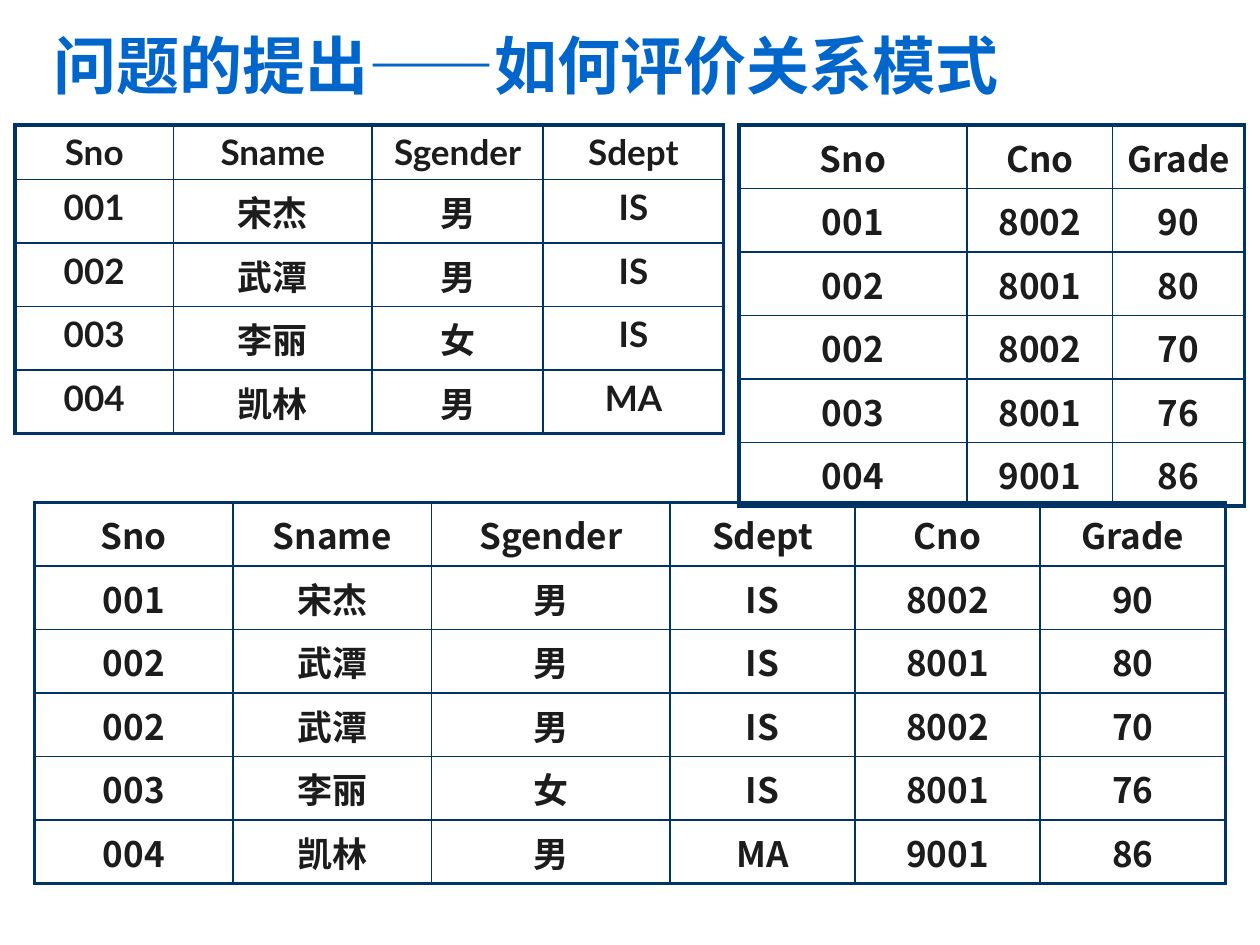
from dataclasses import dataclass

from lxml.etree import SubElement
from pptx import Presentation
from pptx.dml.color import RGBColor
from pptx.enum.text import MSO_ANCHOR, PP_ALIGN
from pptx.oxml.ns import qn
from pptx.util import Cm, Pt


@dataclass(frozen=True)
class Theme:
    title_color: str = "0066CC"
    text_color: str = "1C1C1C"
    border_color: str = "003366"
    title_size: float = 36
    cell_size: float = 20
    outer_border: float = 2.25
    inner_border: float = 1
    font: str = "Noto Sans CJK SC"
    student_font: str = "Lato"


THEME = Theme()
ROW_HEIGHT = 1.28

STUDENTS = [
    ("Sno", "Sname", "Sgender", "Sdept"),
    ("001", "宋杰", "男", "IS"),
    ("002", "武潭", "男", "IS"),
    ("003", "李丽", "女", "IS"),
    ("004", "凯林", "男", "MA"),
]
GRADES = [
    ("Sno", "Cno", "Grade"),
    ("001", "8002", "90"),
    ("002", "8001", "80"),
    ("002", "8002", "70"),
    ("003", "8001", "76"),
    ("004", "9001", "86"),
]


def join_relations(students, grades):
    """Natural join of both relations on the student number."""
    student_by_number = {student[0]: student for student in students}
    return [student_by_number[number] + tuple(rest) for number, *rest in grades]


def write_text(text_frame, text, *, size, color, font=THEME.font, align=PP_ALIGN.LEFT):
    paragraph = text_frame.paragraphs[0]
    paragraph.alignment = align
    run = paragraph.add_run()
    run.text = text
    run.font.size = Pt(size)
    run.font.bold = True
    run.font.color.rgb = RGBColor.from_string(color)
    run.font.name = font
    # East Asian glyphs always use the main font
    SubElement(run.font._element, qn("a:ea"), typeface=THEME.font)


def set_borders(cell, outer_sides):
    """Thick lines on the table's outline, thin lines inside."""
    properties = cell._tc.get_or_add_tcPr()
    for side in "LRTB":
        width = THEME.outer_border if side in outer_sides else THEME.inner_border
        line = SubElement(properties, qn(f"a:ln{side}"), w=str(Pt(width)))
        fill = SubElement(line, qn("a:solidFill"))
        SubElement(fill, qn("a:srgbClr"), val=THEME.border_color)


def add_title(slide, text):
    shape = slide.shapes.add_textbox(Cm(0.83), Cm(0.53), Cm(23.47), Cm(1.65))
    text_frame = shape.text_frame
    text_frame.word_wrap = True
    text_frame.vertical_anchor = MSO_ANCHOR.BOTTOM
    text_frame.margin_top = text_frame.margin_bottom = Cm(0.13)
    write_text(text_frame, text, size=THEME.title_size, color=THEME.title_color)


def add_relation(slide, rows, left, top, column_widths,
                 header_height=ROW_HEIGHT, font=THEME.font):
    row_heights = [header_height] + [ROW_HEIGHT] * (len(rows) - 1)
    shape = slide.shapes.add_table(
        len(rows), len(column_widths), Cm(left), Cm(top),
        Cm(sum(column_widths)), Cm(sum(row_heights)),
    )
    table = shape.table
    table.first_row = table.horz_banding = False
    for column, width in zip(table.columns, column_widths):
        column.width = Cm(width)
    for row, height in zip(table.rows, row_heights):
        row.height = Cm(height)

    last_row, last_column = len(rows) - 1, len(column_widths) - 1
    for i, values in enumerate(rows):
        for j, value in enumerate(values):
            cell = table.cell(i, j)
            edges = {"L": j == 0, "R": j == last_column, "T": i == 0, "B": i == last_row}
            set_borders(cell, [side for side, is_outer in edges.items() if is_outer])
            cell.fill.background()
            write_text(cell.text_frame, value, size=THEME.cell_size,
                       color=THEME.text_color, font=font, align=PP_ALIGN.CENTER)


def main():
    presentation = Presentation()
    presentation.slide_width, presentation.slide_height = Cm(25.4), Cm(19.05)
    slide = presentation.slides.add_slide(presentation.slide_layouts[6])

    add_title(slide, "问题的提出——如何评价关系模式")

    # Source relations: students and their grades
    add_relation(slide, STUDENTS, 0.3, 2.52, [3.2, 4, 3.45, 3.64],
                 header_height=1.1, font=THEME.student_font)
    add_relation(slide, GRADES, 14.9, 2.52, [4.59, 2.94, 2.66])

    # Single relation holding all attributes
    add_relation(slide, join_relations(STUDENTS, GRADES), 0.69, 10.13,
                 [4.01, 4, 4.81] + [3.73] * 3)

    presentation.save("out.pptx")


if __name__ == "__main__":
    main()
